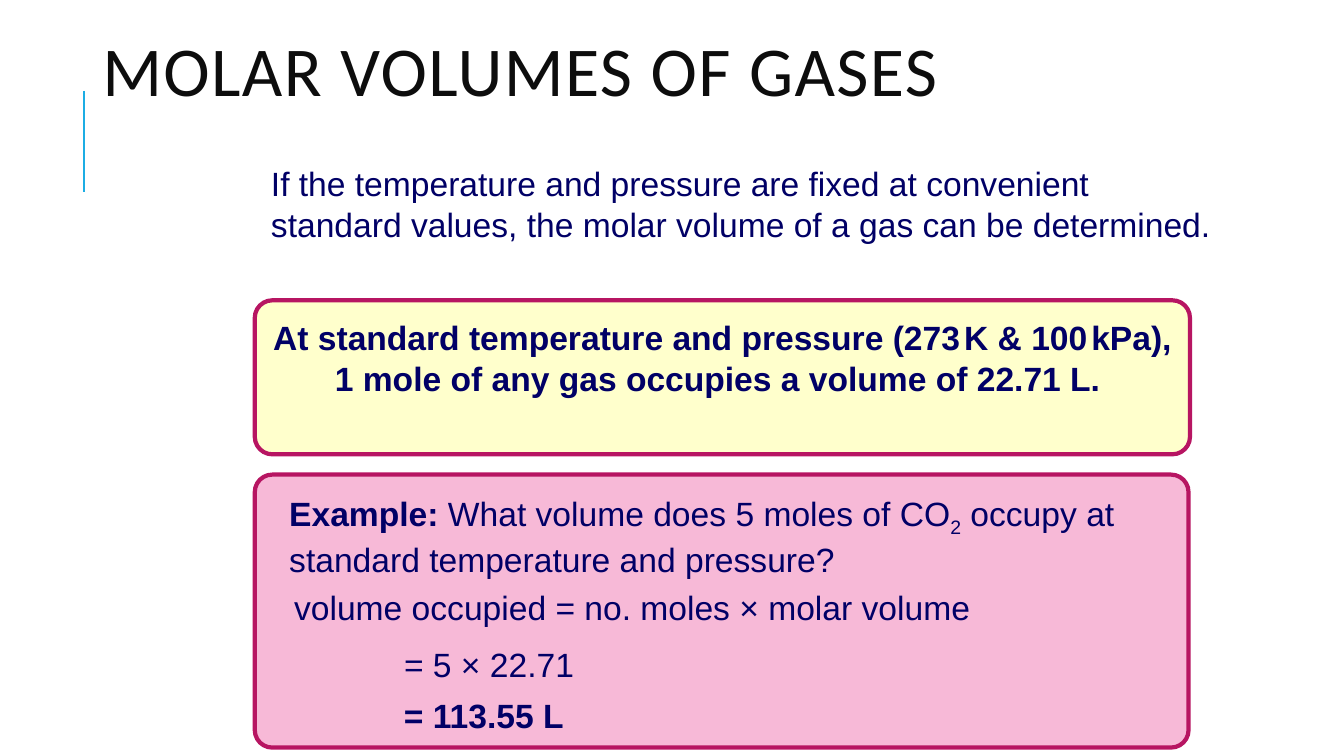
from lxml import etree
from pptx import Presentation
from pptx.dml.color import RGBColor
from pptx.enum.shapes import MSO_CONNECTOR, MSO_SHAPE
from pptx.enum.text import MSO_ANCHOR, PP_ALIGN
from pptx.oxml.ns import qn
from pptx.util import Pt

LINE = MSO_CONNECTOR.STRAIGHT
ROUND = MSO_SHAPE.ROUNDED_RECTANGLE
MIDDLE = MSO_ANCHOR.MIDDLE
LEFT = PP_ALIGN.LEFT
CENTER = PP_ALIGN.CENTER
NAVY = "010066"
BORDER = "B71562"


def color(value):
    return RGBColor.from_string(value)


def add_rule(slide, x, top, end):
    rule = slide.shapes.add_connector(LINE, Pt(x), Pt(top), Pt(x), Pt(end))
    rule.line.color.rgb = color("1CADE4")
    rule.line.width = Pt(1.5)
    etree.SubElement(rule._element.spPr, qn("a:effectLst"))


def add_panel(slide, left, top, width, height, fill, curve):
    panel = slide.shapes.add_shape(ROUND, Pt(left), Pt(top), Pt(width), Pt(height))
    panel.adjustments[0] = curve
    panel.shadow.inherit = False
    panel.fill.solid()
    panel.fill.fore_color.rgb = color(fill)
    panel.line.color.rgb = color(BORDER)
    panel.line.width = Pt(3)


def add_text(slide, left, top, width, height, runs, align=LEFT, wrap=True):
    box = slide.shapes.add_textbox(Pt(left), Pt(top), Pt(width), Pt(height))
    frame = box.text_frame
    frame.word_wrap = wrap
    para = frame.paragraphs[0]
    para.alignment = align
    for words, style in runs:
        add_run(para, words, **style)
    return frame


def add_run(para, words, size=24, bold=False, name="Arial", ink=NAVY, **extra):
    run = para.add_run()
    run.text = words
    run.font.size = Pt(size)
    run.font.bold = bold
    run.font.name = name
    run.font.color.rgb = color(ink)
    for key, value in extra.items():
        run._r.get_or_add_rPr().set(key, str(value))


def add_title(slide, words):
    style = {"size": 50, "name": "Calibri", "ink": "0D0D0D", "spc": 100}
    frame = add_text(slide, 66, 3, 756, 103, [(words, style)])
    frame.vertical_anchor = MIDDLE
    frame.paragraphs[0].line_spacing = 0.8


def main():
    deck = Presentation()
    deck.slide_width, deck.slide_height = Pt(960), Pt(540)
    slide = deck.slides.add_slide(deck.slide_layouts[6])
    plain, bold = {}, {"bold": True}
    thin = {"bold": True, "size": 10}

    add_rule(slide, 60, 65, 137)
    add_title(slide, "MOLAR VOLUMES OF GASES")
    add_text(slide, 186.5, 113, 692, 65.5, [
        ("If the temperature and pressure are fixed at convenient "
         "standard values, the molar volume of a gas can be determined.", plain)])

    add_panel(slide, 182, 214.5, 668, 110, "FFFFCC", 0.114)
    add_text(slide, 186.5, 223, 659, 65.5, [
        ("At standard temperature and pressure (273", bold),
        (" ", thin),
        ("K & 100", bold),
        (" ", thin),
        ("kPa), 1 mole of any gas occupies a volume of 22.71 L. ", bold)], CENTER)

    add_panel(slide, 182, 339, 667, 195, "F7B9D7", 0.064)
    add_text(slide, 199.5, 348.5, 646, 65.5, [
        ("Example: ", bold),
        ("What volume does 5 moles of CO", plain),
        ("2", {"baseline": -25000}),
        (" occupy at standard temperature and pressure?", plain)])

    steps = [
        (203, 415.5, 497.5, "volume occupied = no. moles × molar volume", plain),
        (281.5, 456.5, 137, "= 5 × 22.71", plain),
        (281.5, 493, 130, "= 113.55 L", bold)]
    for left, top, width, words, style in steps:
        add_text(slide, left, top, width, 36.5, [(words, style)], wrap=False)

    deck.save("out.pptx")


if __name__ == "__main__":
    main()
